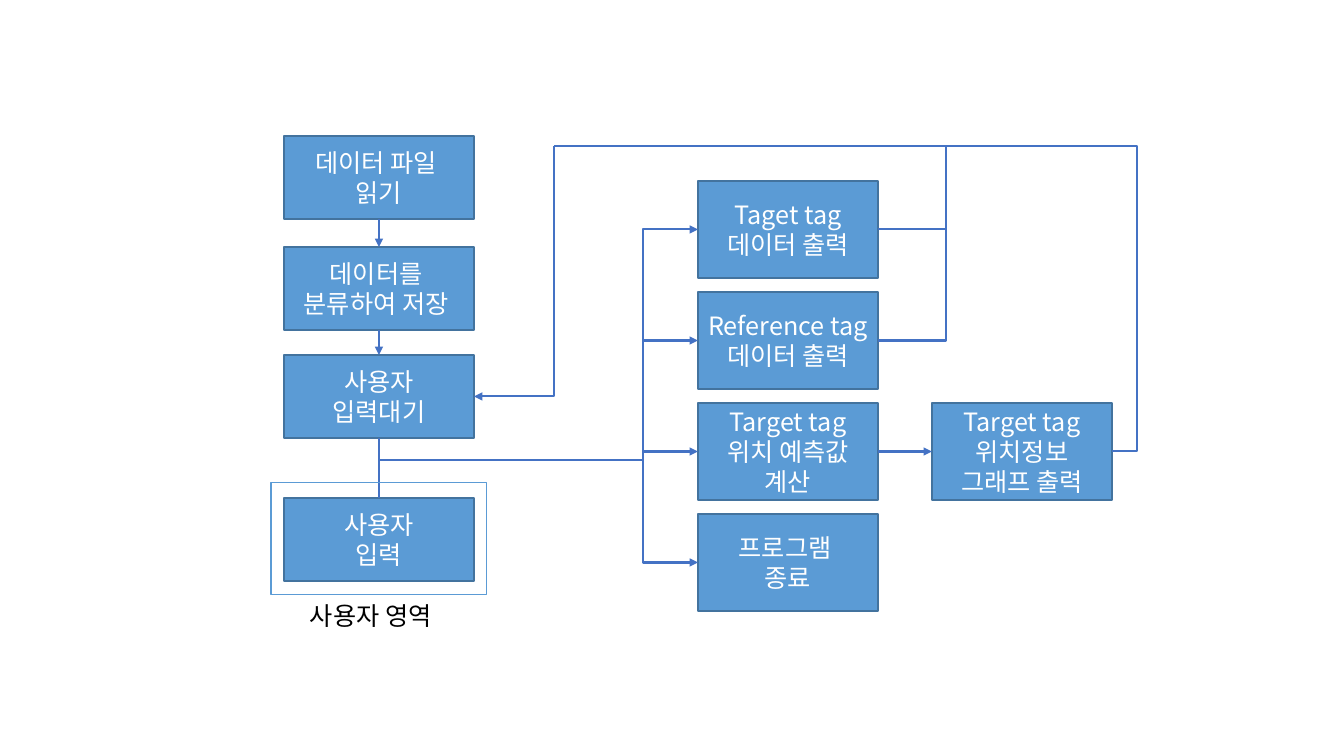
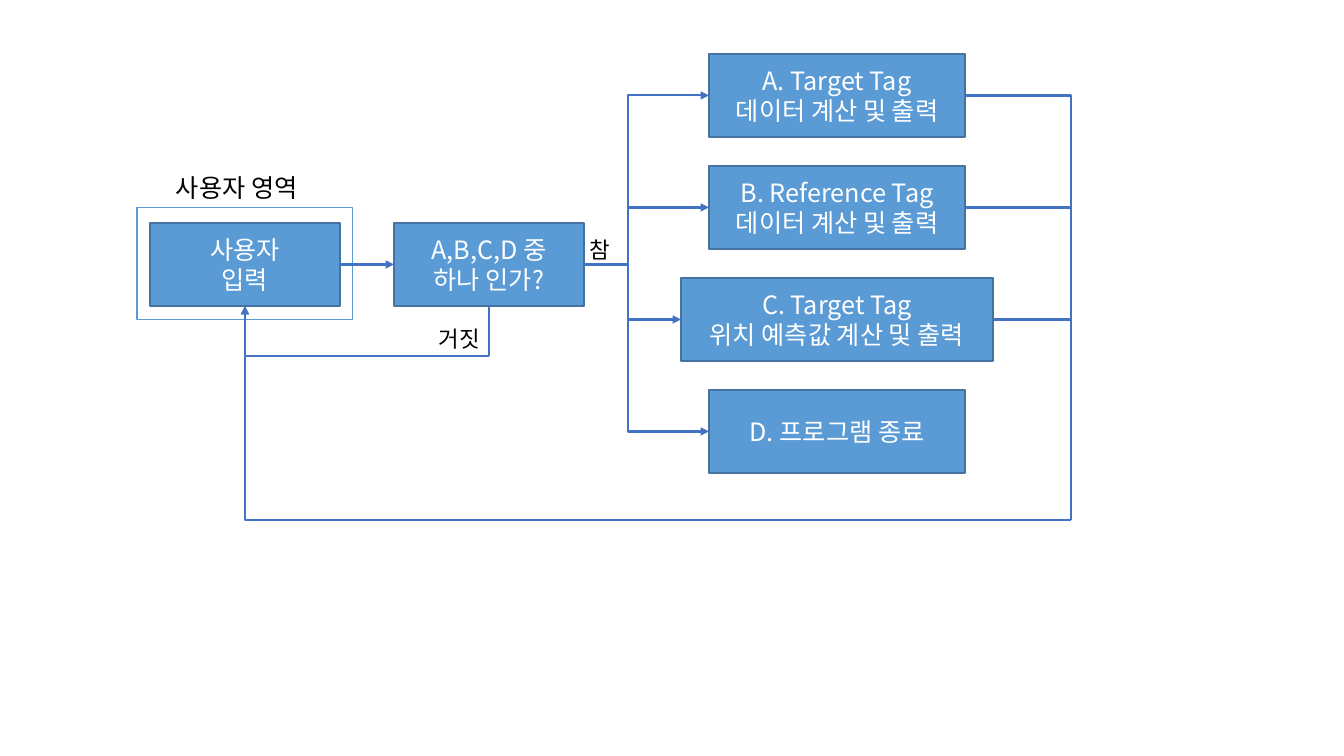
"""Build two flowcharts of a tag location program."""
from pptx import Presentation
from pptx.dml.color import RGBColor
from pptx.enum.shapes import MSO_CONNECTOR, MSO_SHAPE
from pptx.enum.text import MSO_ANCHOR, PP_ALIGN
from pptx.oxml.ns import qn
from pptx.util import Pt
from lxml.etree import SubElement

FONT = "Noto Sans CJK KR"
BLUE, EDGE, ARROW, WHITE, BLACK = "5B9BD5", "43739E", "4472C4", "FFFFFF", "000000"
WIDTH, HEIGHT = 1344, 756
STEP_W, STEP_H = 190, 83
OUTPUT_W, OUTPUT_H, OUTPUT_PITCH = 180, 97, 111
CASE_PITCH = 112
USER_AREA = "사용자 영역"

STEPS = [
    (136, ["데이터 파일 ", "읽기"]),
    (247, ["데이터를 ", "분류하여 저장 "]),
    (355, ["사용자", "입력대기"]),
    (498, ["사용자", "입력"]),
]
OUTPUTS = [
    ["Taget tag", "데이터 출력"],
    ["Reference tag", "데이터 출력"],
    ["Target tag", "위치 예측값 계산"],
    ["프로그램 ", "종료"],
]
GRAPH = ["Target tag", "위치정보", "그래프 출력"]
CHECK = ["A,B,C,D 중", "하나 인가?"]
CASES = [
    (256, ["A. Target Tag", "데이터 계산 및 출력"]),
    (256, ["B. Reference Tag", "데이터 계산 및 출력"]),
    (312, ["C. Target Tag", "위치 예측값 계산 및 출력"]),
    (256, ["D. 프로그램 종료"]),
]


def px(n):
    return round(n * 914400 / 100.8)


def rgb(value):
    return RGBColor.from_string(value)


def add_text(sp, lines, size=18, color=BLACK, align=PP_ALIGN.LEFT, anchor=MSO_ANCHOR.TOP, wrap=True):
    tf = sp.text_frame
    tf.word_wrap = wrap
    tf.vertical_anchor = anchor
    for i, line in enumerate(lines):
        p = tf.paragraphs[0] if i == 0 else tf.add_paragraph()
        p.alignment = align
        r = p.add_run()
        r.text = line
        r.font.size = Pt(size)
        r.font.color.rgb = rgb(color)
        r.font.name = FONT
        SubElement(r.font._element, qn("a:ea"), typeface=FONT)


def rect(s, x, y, w, h, line, weight):
    sp = s.shapes.add_shape(MSO_SHAPE.RECTANGLE, px(x), px(y), px(w), px(h))
    sp.shadow.inherit = False
    sp.line.color.rgb = rgb(line)
    sp.line.width = Pt(weight)
    return sp


def box(s, x, y, w, h, lines):
    sp = rect(s, x, y, w, h, EDGE, 1)
    sp.fill.solid()
    sp.fill.fore_color.rgb = rgb(BLUE)
    add_text(sp, lines, color=WHITE, align=PP_ALIGN.CENTER, anchor=MSO_ANCHOR.MIDDLE)


def label(s, x, y, w, h, text, **fmt):
    add_text(s.shapes.add_textbox(px(x), px(y), px(w), px(h)), [text], **fmt)


def user_area(s, x, y, label_y):
    rect(s, x - 13, y - 15, 216, 112, BLUE, 0.75).fill.background()
    label(s, x + 16, label_y, 158, 40, USER_AREA)


def route(s, *points, arrow=None):
    """Join points by a straight line or an elbow that leaves horizontally."""
    (x1, y1), (x2, y2) = points[0], points[-1]
    kind = MSO_CONNECTOR.STRAIGHT if len(points) == 2 else MSO_CONNECTOR.ELBOW
    cn = s.shapes.add_connector(kind, px(x1), px(y1), px(x2), px(y2))
    cn.line.color.rgb = rgb(ARROW)
    cn.line.width = Pt(1.5)
    if arrow:
        SubElement(cn.line._get_or_add_ln(), qn(f"a:{arrow}End"), type="triangle")
    sppr = cn._element.spPr
    SubElement(sppr, qn("a:effectLst"))
    geom = sppr.find(qn("a:prstGeom"))
    if len(points) == 3:
        geom.set("prst", "bentConnector2")
    elif len(points) == 4:
        bend = round((points[1][0] - x1) / (x2 - x1) * 100000)
        SubElement(geom.find(qn("a:avLst")), qn("a:gd"), name="adj1", fmla=f"val {bend}")


def program_flow(s):
    left, out_x, graph_x = 284, 698, 932
    mid, right, out_right = left + STEP_W / 2, left + STEP_W, out_x + OUTPUT_W
    trunk, back, join, outer = 643, 554, 946, 1137
    branch_y, top = 460, 146
    tops = [181 + i * OUTPUT_PITCH for i in range(len(OUTPUTS))]
    rows = [y + OUTPUT_H / 2 for y in tops]
    for y, lines in STEPS:
        box(s, left, y, STEP_W, STEP_H, lines)
    for y, lines in zip(tops, OUTPUTS):
        box(s, out_x, y, OUTPUT_W, OUTPUT_H, lines)
    box(s, graph_x, tops[2], OUTPUT_W, OUTPUT_H, GRAPH)
    ys = [y for y, _ in STEPS]
    for y, below, arrow in zip(ys, ys[1:], ["tail", "tail", None]):
        route(s, (mid, y + STEP_H), (mid, below), arrow=arrow)
    user_area(s, left, ys[3], 595)
    route(s, (mid, branch_y), (trunk, branch_y), (trunk, rows[0]), (out_x, rows[0]), arrow="tail")
    for y in rows[1:3]:
        route(s, (trunk, y), (out_x, y), arrow="tail")
    route(s, (out_x, rows[3]), (trunk, rows[3]), (trunk, branch_y), arrow="head")
    wait_y = ys[2] + STEP_H / 2
    route(s, (right, wait_y), (back, wait_y), (back, top), arrow="head")
    route(s, (out_right, rows[2]), (graph_x, rows[2]), arrow="tail")
    route(s, (out_right, rows[0]), (join, rows[0]), (join, top), (back, top))
    route(s, (out_right, rows[1]), (join, rows[1]), (join, rows[0]))
    route(s, (graph_x + OUTPUT_W, rows[2]), (outer, rows[2]), (outer, top), (join, top))


def input_check(s):
    input_x, check_x, y = 150, 394, 223
    trunk, outer, case_mid = 628, 1071, 837
    false_y, bottom = 356, 520
    mid_y, base = y + STEP_H / 2, y + STEP_H
    input_mid, check_mid = input_x + STEP_W / 2, check_x + STEP_W / 2
    check_right = check_x + STEP_W
    box(s, input_x, y, STEP_W, STEP_H, STEPS[3][1])
    user_area(s, input_x, y, 167)
    box(s, check_x, y, STEP_W, STEP_H, CHECK)
    route(s, (input_x + STEP_W, mid_y), (check_x, mid_y), arrow="tail")
    for i, (w, lines) in enumerate(CASES):
        top = 54 + i * CASE_PITCH
        row, x = top + STEP_H / 2, case_mid - w / 2
        box(s, x, top, w, STEP_H, lines)
        if i in (0, 3):
            route(s, (check_right, mid_y), (trunk, mid_y), (trunk, row), (x, row), arrow="tail")
        else:
            route(s, (trunk, row), (x, row), arrow="tail")
        if i == 0:
            route(s, (x + w, row), (outer, row), (outer, bottom))
        elif i < 3:
            route(s, (x + w, row), (outer, row))
    route(s, (check_mid, base), (check_mid, false_y))
    route(s, (check_mid, false_y), (input_mid, false_y), (input_mid, base), arrow="tail")
    route(s, (outer, bottom), (input_mid, bottom), (input_mid, base), arrow="tail")
    label(s, 580, 231, 42, 37, "참", size=16, wrap=False)
    label(s, 429, 320, 66, 37, "거짓", size=16)


prs = Presentation()
prs.slide_width, prs.slide_height = px(WIDTH), px(HEIGHT)
for draw in (program_flow, input_check):
    draw(prs.slides.add_slide(prs.slide_layouts[6]))
prs.save("out.pptx")
